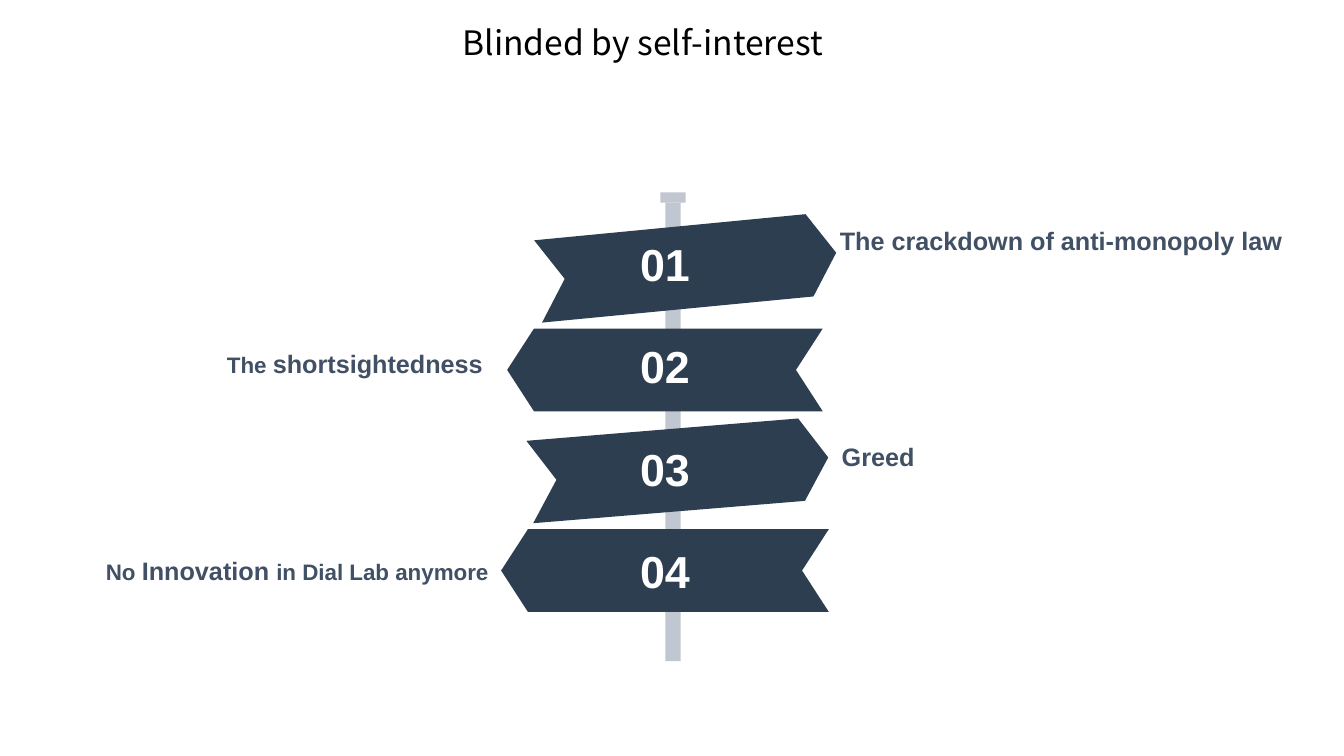
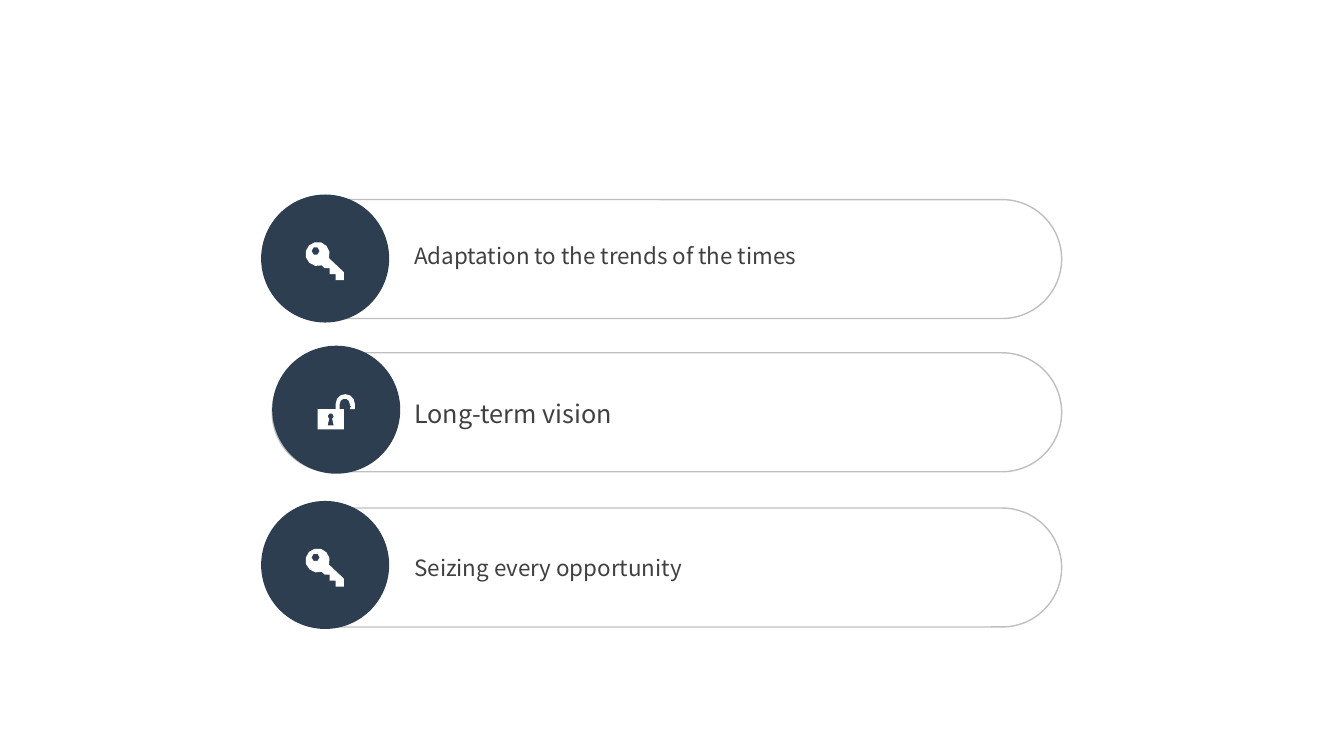
"""Build two slides: a signpost of causes and a list of three lessons."""
from math import cos, radians, sin

from pptx import Presentation
from pptx.dml.color import RGBColor
from pptx.enum.shapes import MSO_SHAPE
from pptx.enum.text import MSO_AUTO_SIZE, PP_ALIGN
from pptx.util import Pt

PX = 9144
RECT, OVAL = MSO_SHAPE.RECTANGLE, MSO_SHAPE.OVAL
PILL, ARROW = MSO_SHAPE.ROUNDED_RECTANGLE, MSO_SHAPE.NOTCHED_RIGHT_ARROW
LEFT, CENTER, RIGHT = PP_ALIGN.LEFT, PP_ALIGN.CENTER, PP_ALIGN.RIGHT
FIT = MSO_AUTO_SIZE.SHAPE_TO_FIT_TEXT

COLORS = {
    "navy": "2D3E50", "post": "C1C7D0", "label": "415064", "outline": "BFBFBF",
    "body": "404040", "black": "000000", "white": "FFFFFF",
}
SANS, CJK = "Arial", "Noto Sans CJK SC"

TITLE = "Blinded by self-interest"
POST = [(660, 201, 15, 455), (655, 191, 25, 10)]
SIGNS = [
    {"box": (533, 224, 297, 82), "turn": -5.5, "number": 235,
     "label": (833, 224, 491, 67), "align": LEFT,
     "runs": [("The crackdown of anti-monopoly law", 18)]},
    {"box": (503, 326, 313, 82), "turn": 180, "number": 336,
     "label": (223, 346, 256, 30), "align": RIGHT,
     "runs": [("The ", 16), ("shortsightedness", 18)]},
    {"box": (525, 425, 297, 82), "turn": -4.7, "number": 438,
     "label": (825, 438, 82, 30), "align": RIGHT,
     "runs": [("Greed", 18)]},
    {"box": (497, 525, 325, 82), "turn": 180, "number": 539,
     "label": (105, 551, 392, 30), "align": LEFT,
     "runs": [("No ", 16), ("Innovation ", 18), ("in Dial Lab anymore", 16)]},
]
LESSONS = [
    {"text": "Adaptation to the trends of the times", "size": 16, "icon": "key",
     "bar": 198, "disc": (259, 193), "label": (411, 240, 585, 27)},
    {"text": "Long-term vision", "size": 18, "icon": "lock",
     "bar": 350, "disc": (270, 343), "label": (411, 395, 237, 30)},
    {"text": "Seizing every opportunity", "size": 16, "icon": "key",
     "bar": 504, "disc": (259, 497), "label": (411, 550, 585, 27)},
]


def arc(cx, cy, radius, start, end, steps):
    angles = [radians(start + (end - start) * i / steps) for i in range(steps + 1)]
    return [(cx + radius * cos(a), cy + radius * sin(a)) for a in angles]


ICONS = {
    "key": {"offset": (44, 47), "outlines": [
        arc(12, 12, 12, 20, -290, 10)
        + [(19, 26), (24, 26), (24, 32), (30, 32), (30, 38), (38, 38), (38, 30)],
        arc(10, 9, 4, 0, 300, 5),
    ]},
    "lock": {"offset": (45, 48), "outlines": [
        [(0, 15), (18, 15)] + arc(27.5, 9.5, 9.5, 180, 360, 6)
        + [(37, 15), (32, 15), (32, 14), (34, 12), (32, 12)]
        + arc(27, 9.5, 5, 360, 180, 5)
        + [(22, 15), (26, 15), (26, 35), (0, 35)],
        arc(13, 22, 3, 120, 420, 5) + [(16, 31), (10, 31)],
    ]},
}


def rgb(name):
    return RGBColor.from_string(COLORS[name])


def emu(box):
    return [v * PX for v in box]


def paint(sp, fill=None, line=None):
    sp.shadow.inherit = False
    if fill:
        sp.fill.solid()
        sp.fill.fore_color.rgb = rgb(fill)
    else:
        sp.fill.background()
    if line:
        sp.line.color.rgb = rgb(line)
        sp.line.width = Pt(1)
    else:
        sp.line.fill.background()


def add_shape(s, kind, box, fill=None, line=None, adjust=()):
    sp = s.shapes.add_shape(kind, *emu(box))
    for i, value in enumerate(adjust):
        sp.adjustments[i] = value
    paint(sp, fill, line)
    return sp


def add_text(s, box, runs, font, color, bold=False, align=LEFT, inset=0, before=3):
    tf = s.shapes.add_textbox(*emu(box)).text_frame
    tf.word_wrap = True
    tf.auto_size = FIT
    if inset == 0:
        tf.margin_left = tf.margin_right = tf.margin_top = tf.margin_bottom = 0
    p = tf.paragraphs[0]
    p.alignment = align
    p.space_before = Pt(before)
    p.font.name, p.font.bold = font, bold
    p.font.color.rgb = rgb(color)
    for text, size in runs:
        r = p.add_run()
        r.text = text
        r.font.size = Pt(size)


def add_icon(s, name, x, y):
    dx, dy = ICONS[name]["offset"]
    outlines = [[(px * 10, py * 10) for px, py in o] for o in ICONS[name]["outlines"]]
    builder = s.shapes.build_freeform(*outlines[0][0], scale=PX / 10)
    builder.add_line_segments(outlines[0][1:], close=True)
    for outline in outlines[1:]:
        builder.move_to(*outline[0])
        builder.add_line_segments(outline[1:], close=True)
    paint(builder.convert_to_shape((x + dx) * PX, (y + dy) * PX), "white")


def build_signpost(s):
    add_text(s, (449, 17, 436, 50), [(TITLE, 24)], CJK, "black", inset=10, before=0)
    for box in POST:
        add_shape(s, RECT, box, "post")
    for sign in SIGNS:
        sp = add_shape(s, ARROW, sign["box"], "navy", adjust=(1, 0.324))
        sp.rotation = sign["turn"]
    for i, sign in enumerate(SIGNS, 1):
        add_text(s, sign["label"], sign["runs"], SANS, "label", True, sign["align"])
        add_text(s, (607, sign["number"], 105, 54), [(f"{i:02}", 32)],
                 SANS, "white", True, CENTER)


def build_lessons(s):
    for lesson in LESSONS:
        x, y = lesson["disc"]
        add_shape(s, PILL, (270, lesson["bar"], 783, 118), line="outline", adjust=(0.5,))
        add_shape(s, OVAL, (x, y, 127, 127), "navy")
        add_icon(s, lesson["icon"], x, y)
        add_text(s, lesson["label"], [(lesson["text"], lesson["size"])], CJK, "body")


def main():
    prs = Presentation()
    prs.slide_width, prs.slide_height = emu((1333, 750))
    for build in (build_signpost, build_lessons):
        build(prs.slides.add_slide(prs.slide_layouts[6]))
    prs.save("out.pptx")


if __name__ == "__main__":
    main()
